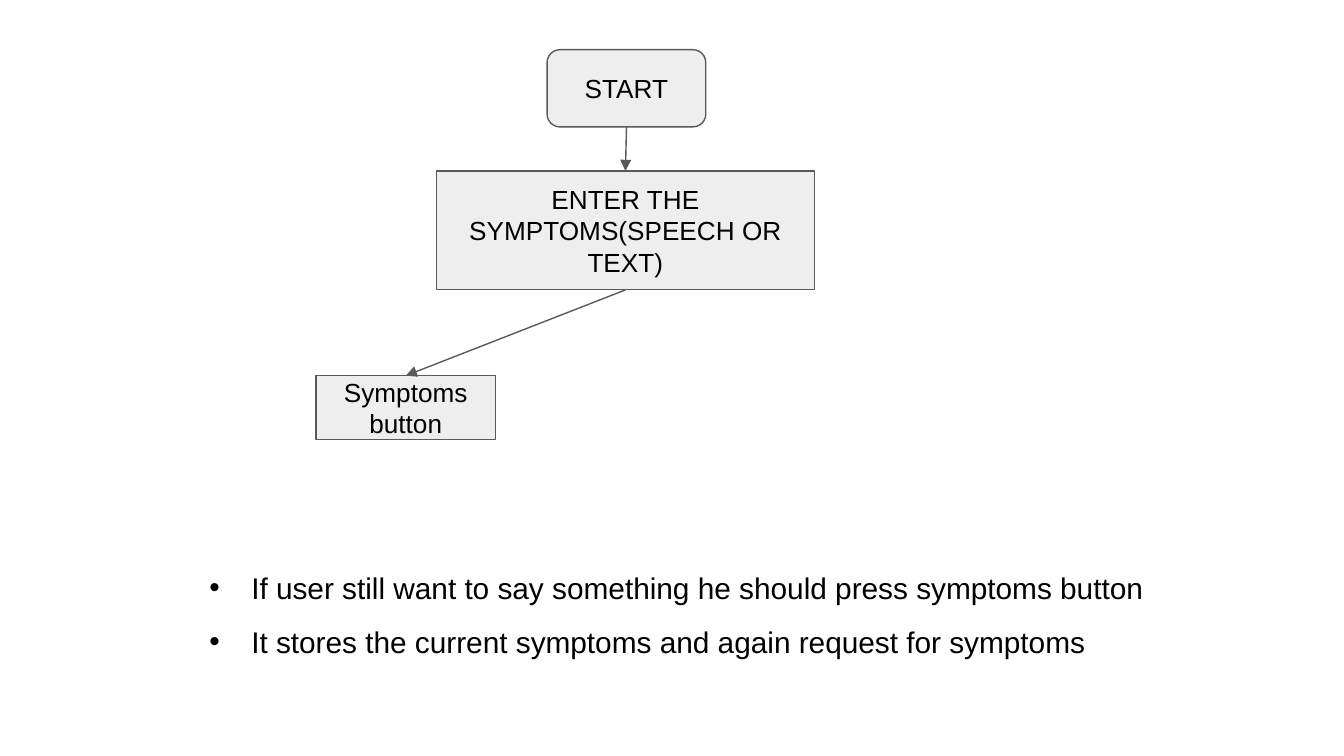
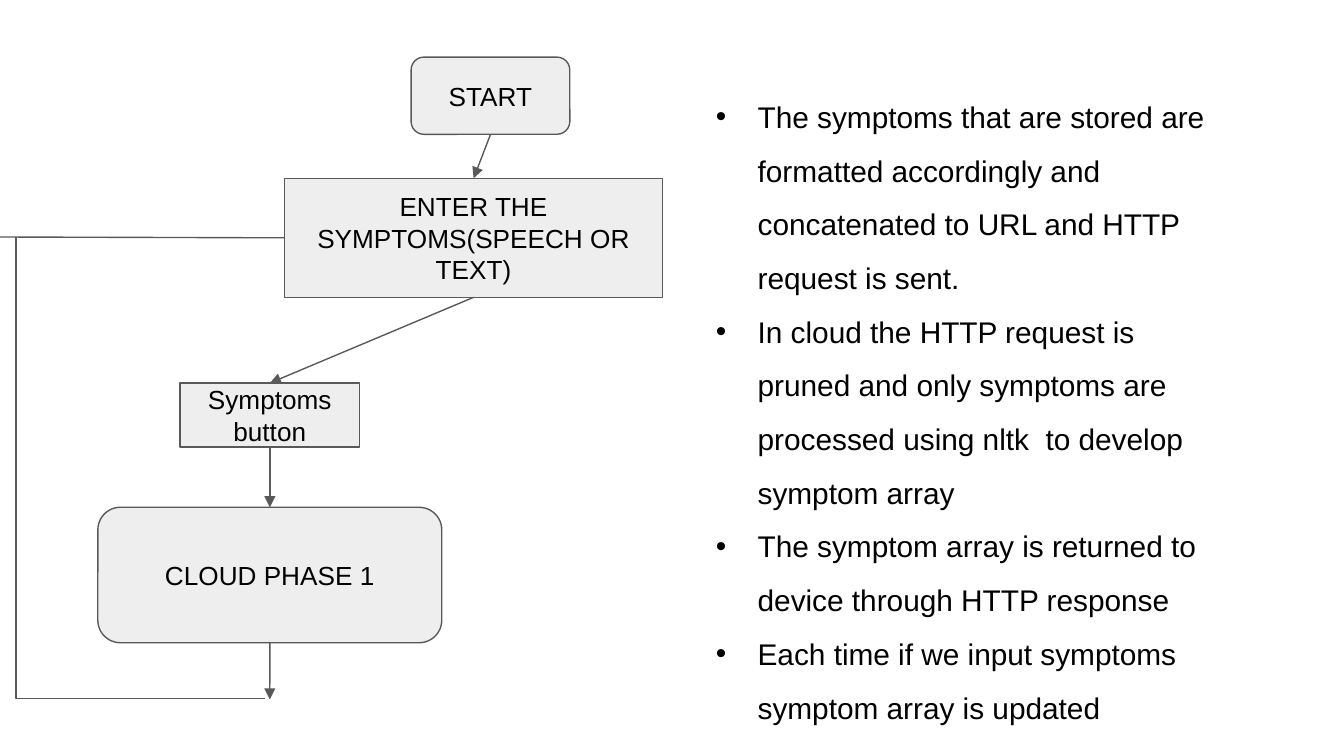
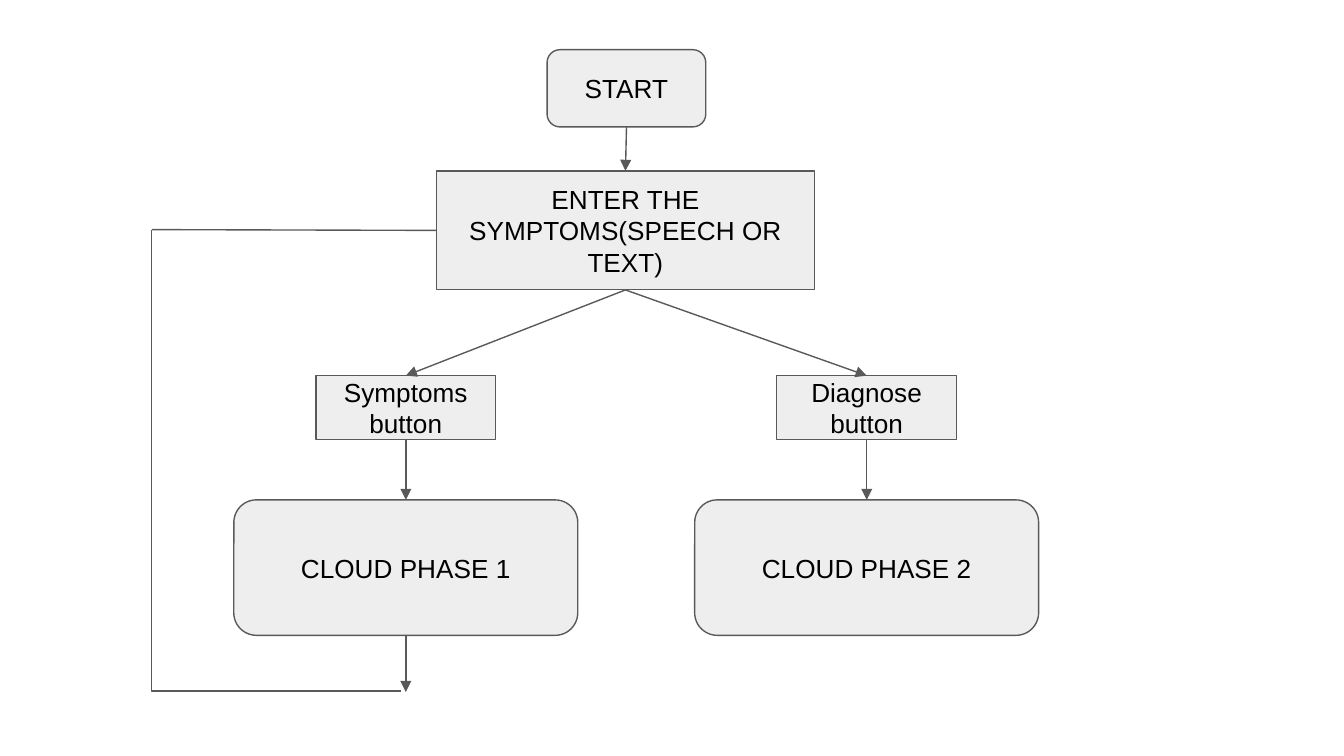
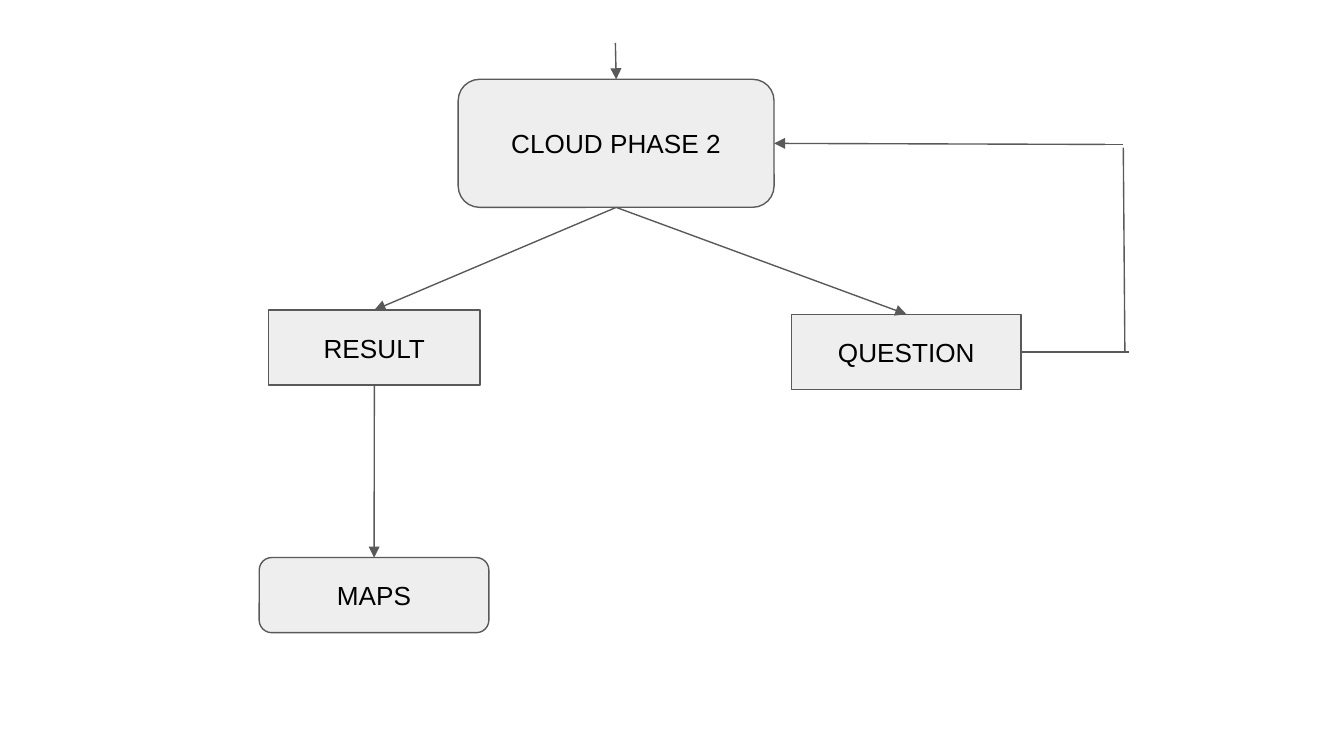
from dataclasses import dataclass

from lxml.etree import SubElement
from pptx import Presentation
from pptx.dml.color import RGBColor
from pptx.enum.shapes import MSO_CONNECTOR, MSO_SHAPE
from pptx.enum.text import MSO_ANCHOR, MSO_AUTO_SIZE, PP_ALIGN
from pptx.oxml.ns import qn
from pptx.util import Cm, Pt

FONT = "Arial"
TEXT_COLOR = "000000"
NODE_FILL = "EEEEEE"
LINE_COLOR = "595959"
LINE_WIDTH = Pt(0.75)
NODE_INSET = Cm(0.25)
BULLET_INDENT = Cm(0.79)

PROCESS = MSO_SHAPE.RECTANGLE
ROUNDED = MSO_SHAPE.ROUNDED_RECTANGLE
TOP, LEFT, BOTTOM, RIGHT = range(4)  # connection sites of both node shapes


@dataclass
class Box:
    """A region in centimetres."""
    left: float
    top: float
    width: float
    height: float

    def inner(self, left, top, width, height):
        """Return a box placed relative to this one."""
        return Box(self.left + left, self.top + top, width, height)

    def point(self, x, y):
        """Return a slide position for a point relative to this box."""
        return Cm(self.left + x), Cm(self.top + y)

    def lengths(self):
        """Return left, top, width and height as slide lengths."""
        return Cm(self.left), Cm(self.top), Cm(self.width), Cm(self.height)


def color(value):
    """Turn a hex string into a colour."""
    return RGBColor.from_string(value)


def style_line(line):
    """Give a line the shared colour and width."""
    line.color.rgb = color(LINE_COLOR)
    line.width = LINE_WIDTH


def style_text(paragraph, size):
    """Format the runs of a paragraph."""
    for run in paragraph.runs:
        run.font.name = FONT
        run.font.size = Pt(size)
        run.font.color.rgb = color(TEXT_COLOR)


def add_node(slide, box, preset, text):
    """Draw a flowchart node with centred text."""
    shape = slide.shapes.add_shape(preset, *box.lengths())
    shape.shadow.inherit = False
    shape.fill.solid()
    shape.fill.fore_color.rgb = color(NODE_FILL)
    style_line(shape.line)
    frame = shape.text_frame
    frame.word_wrap = True
    frame.vertical_anchor = MSO_ANCHOR.MIDDLE
    frame.margin_left = frame.margin_right = NODE_INSET
    frame.margin_top = frame.margin_bottom = NODE_INSET
    frame.text = text
    for paragraph in frame.paragraphs:
        paragraph.alignment = PP_ALIGN.CENTER
        style_text(paragraph, 14)
    return shape


def add_link(slide, start, end, arrow=True):
    """Join two ends, each a (node, site) pair or an (x, y) position."""
    link = slide.shapes.add_connector(MSO_CONNECTOR.STRAIGHT, 0, 0, 0, 0)
    if isinstance(start[0], int):
        link.begin_x, link.begin_y = start
    else:
        link.begin_connect(*start)
    if isinstance(end[0], int):
        link.end_x, link.end_y = end
    else:
        link.end_connect(*end)
    style_line(link.line)
    properties = link._element.spPr
    if arrow:
        SubElement(properties.get_or_add_ln(), qn("a:tailEnd"), type="triangle")
    SubElement(properties, qn("a:effectLst"))


def add_bullets(slide, box, items, wrap=True):
    """Write a bulleted list."""
    frame = slide.shapes.add_textbox(*box.lengths()).text_frame
    frame.word_wrap = wrap
    frame.auto_size = MSO_AUTO_SIZE.SHAPE_TO_FIT_TEXT
    frame.text = "\n".join(items)
    for paragraph in frame.paragraphs:
        paragraph.line_spacing = 1.5
        style_text(paragraph, 16)
        properties = paragraph._p.get_or_add_pPr()
        properties.set("marL", str(int(BULLET_INDENT)))
        properties.set("indent", str(-int(BULLET_INDENT)))
        SubElement(properties, qn("a:buFont"), typeface=FONT)
        SubElement(properties, qn("a:buChar"), char="•")


def add_loop(slide, box, entry, shift):
    """Draw the way back from below the first cloud phase to the entry node."""
    builder = slide.shapes.build_freeform(*box.point(4.7, 12.12), scale=1.0)
    builder.add_line_segments([box.point(0, 12.12), box.point(0, 3.4)], close=False)
    loop = builder.convert_to_shape()
    loop.shadow.inherit = False
    loop.fill.background()
    style_line(loop.line)
    add_link(slide, (entry, LEFT), box.point(shift, 3.4), arrow=False)


def add_symptom_flow(slide, box, branches, entry_shift=0):
    """Draw the symptom flowchart; each branch is (button, cloud or None)."""
    start = add_node(slide, box.inner(7.47, 0, 3, 1.46), ROUNDED, "START")
    entry = add_node(slide, box.inner(5.38 + entry_shift, 2.29, 7.14, 2.25), PROCESS,
                     "ENTER THE SYMPTOMS(SPEECH OR TEXT)")
    add_link(slide, (start, BOTTOM), (entry, TOP))
    for index, (button_text, cloud_text) in enumerate(branches):
        branch = box.inner(1.55 + 8.71 * index, 6.16, 6.5, 4.91)
        button = add_node(slide, branch.inner(1.55, 0, 3.4, 1.21), PROCESS, button_text)
        add_link(slide, (entry, BOTTOM), (button, TOP))
        if cloud_text:
            cloud = add_node(slide, branch.inner(0, 2.35, 6.5, 2.56), ROUNDED, cloud_text)
            add_link(slide, (button, BOTTOM), (cloud, TOP))
            if index == 0:
                add_link(slide, (cloud, BOTTOM), branch.point(3.25, 5.98))
                add_loop(slide, box, entry, entry_shift)


def add_diagnosis_flow(slide, box):
    """Draw the second cloud phase with its outcomes and the question loop."""
    cloud = add_node(slide, box.inner(3.76, 0.69, 5.97, 2.42), ROUNDED, "CLOUD PHASE 2")
    question = add_node(slide, box.inner(10.06, 5.13, 4.34, 1.42), PROCESS, "QUESTION")
    result = add_node(slide, box.inner(0.18, 5.05, 3.99, 1.42), PROCESS, "RESULT")
    maps = add_node(slide, box.inner(0, 9.73, 4.34, 1.42), ROUNDED, "MAPS")
    add_link(slide, box.point(6.73, 0), (cloud, TOP))
    add_link(slide, (cloud, BOTTOM), (question, TOP))
    add_link(slide, (cloud, BOTTOM), (result, TOP))
    add_link(slide, (result, BOTTOM), (maps, TOP))
    add_link(slide, (question, RIGHT), box.point(16.43, 5.84), arrow=False)
    add_link(slide, box.point(16.36, 5.84), box.point(16.33, 1.98), arrow=False)
    add_link(slide, box.point(15.88, 1.92), box.point(16.33, 1.92), arrow=False)
    add_link(slide, box.point(15.98, 1.92), (cloud, RIGHT))


presentation = Presentation()
presentation.slide_width = Cm(25.4)
presentation.slide_height = Cm(14.29)
button_slide, request_slide, overview_slide, diagnosis_slide = (
    presentation.slides.add_slide(presentation.slide_layouts[6]) for _ in range(4))

SYMPTOMS, DIAGNOSE = "Symptoms\nbutton", "Diagnose\nbutton"
full_flow = Box(2.87, 0.94, 16.8, 12.12)

add_symptom_flow(button_slide, full_flow, [(SYMPTOMS, None)])
add_bullets(button_slide, Box(3.71, 10.31, 18.42, 2.31), [
    "If user still want to say something he should press symptoms button",
    "It stores the current symptoms and again request for symptoms",
], wrap=False)

add_symptom_flow(request_slide, Box(0.3, 1.08, 12.2, 12.12),
                 [(SYMPTOMS, "CLOUD PHASE 1")], entry_shift=-0.3)
add_bullets(request_slide, Box(13.28, 1.4, 9.91, 12.45), [
    "The symptoms that are stored are formatted accordingly and concatenated "
    "to URL and HTTP request is sent.",
    "In cloud the HTTP request is pruned and only symptoms are processed "
    "using nltk  to develop symptom array",
    "The symptom array is returned to device through HTTP response",
    "Each time if we input symptoms symptom array is updated",
])

add_symptom_flow(overview_slide, full_flow,
                 [(SYMPTOMS, "CLOUD PHASE 1"), (DIAGNOSE, "CLOUD PHASE 2")])

add_diagnosis_flow(diagnosis_slide, Box(4.9, 0.81, 16.43, 11.15))

presentation.save("out.pptx")
